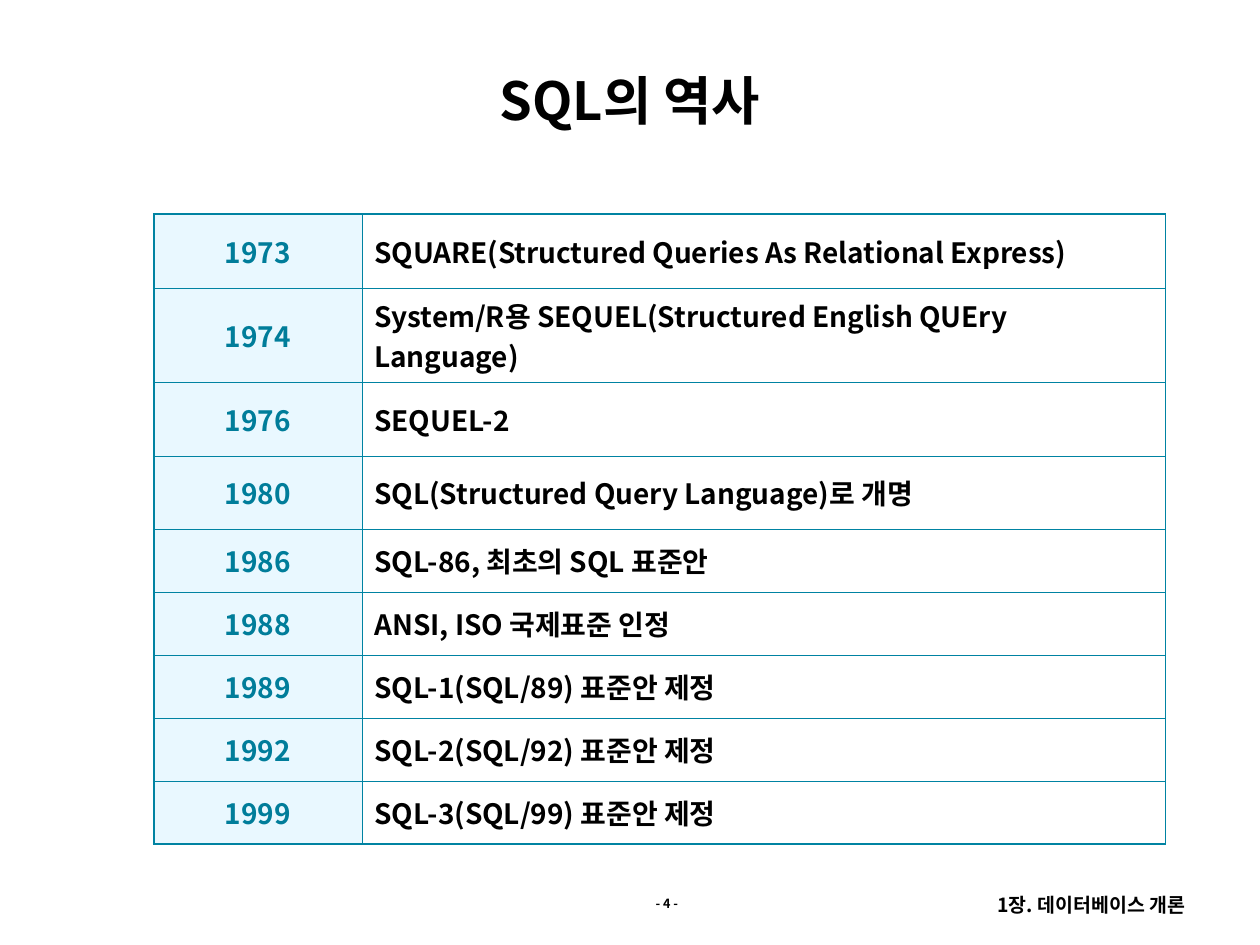
from dataclasses import dataclass

from lxml.etree import SubElement
from pptx import Presentation
from pptx.dml.color import RGBColor
from pptx.enum.text import MSO_ANCHOR, MSO_AUTO_SIZE, PP_ALIGN
from pptx.oxml.ns import qn
from pptx.slide import Slide
from pptx.table import _Cell
from pptx.text.text import TextFrame
from pptx.util import Inches, Pt


@dataclass(frozen=True)
class Theme:
    font: str = "Noto Sans CJK KR"
    ink: str = "000000"
    year: str = "007D9A"
    pale: str = "E9F8FF"
    rule: str = "0083A2"
    title: float = 30
    body: float = 16
    foot: float = 11.1
    page: float = 7.2
    thick: float = 1.08
    thin: float = 0.11


@dataclass(frozen=True)
class Event:
    year: str
    text: str
    height: float = 0.5


@dataclass(frozen=True)
class Note:
    text: str
    left: float
    width: float
    height: float
    size: float
    lead: float


THEME = Theme()
TOP = 7.06
COLS = (1.65, 6.38)
EVENTS = (
    Event("1973", "SQUARE(Structured Queries As Relational Express)", 0.59),
    Event("1974", "System/R용 SEQUEL(Structured English QUEry Language)", 0.74),
    Event("1976", "SEQUEL-2", 0.59),
    Event("1980", "SQL(Structured Query Language)로 개명", 0.58),
    Event("1986", "SQL-86, 최초의 SQL 표준안"),
    Event("1988", "ANSI, ISO 국제표준 인정"),
    Event("1989", "SQL-1(SQL/89) 표준안 제정"),
    Event("1992", "SQL-2(SQL/92) 표준안 제정"),
    Event("1999", "SQL-3(SQL/99) 표준안 제정"),
)
NOTES = (
    Note("1장. 데이터베이스 개론", 6.34, 3.17, 0.29, THEME.foot, 0.9),
    Note("- 4 -", 4.45, 1.03, 0.24, THEME.page, 1.0),
)


def write(frame: TextFrame, text: str, size: float, color: str,
          align: PP_ALIGN, lead: float = 1.0, before: float = 0) -> None:
    para = frame.paragraphs[0]
    para.alignment = align
    para.line_spacing = lead
    para.space_before = Pt(before)
    run = para.add_run()
    run.text = text
    font = run.font
    font.name = THEME.font
    font.size = Pt(size)
    font.bold = True
    font.color.rgb = RGBColor.from_string(color)
    SubElement(font._element, qn("a:ea"), typeface=THEME.font)


def edge(cell: _Cell, side: str, width: float) -> None:
    props = cell._tc.get_or_add_tcPr()
    line = SubElement(props, qn(f"a:ln{side}"), w=str(Pt(width)))
    fill = SubElement(line, qn("a:solidFill"))
    SubElement(fill, qn("a:srgbClr"), val=THEME.rule)


def add_title(slide: Slide, text: str) -> None:
    title = slide.shapes.title
    title.left, title.top = Inches(0.5), Inches(0.53)
    title.width, title.height = Inches(9), Inches(0.52)
    frame = title.text_frame
    frame.auto_size = MSO_AUTO_SIZE.NONE
    frame.vertical_anchor = MSO_ANCHOR.MIDDLE
    write(frame, text, THEME.title, THEME.ink, PP_ALIGN.CENTER)


def add_note(slide: Slide, note: Note) -> None:
    box = slide.shapes.add_textbox(Inches(note.left), Inches(TOP),
                                   Inches(note.width), Inches(note.height))
    box.text_frame.word_wrap = True
    write(box.text_frame, note.text, note.size, THEME.ink,
          PP_ALIGN.RIGHT, note.lead)


def add_events(slide: Slide) -> None:
    count = len(EVENTS)
    total = sum(event.height for event in EVENTS)
    table = slide.shapes.add_table(count, len(COLS), Inches(1.22), Inches(1.7),
                                   Inches(sum(COLS)), Inches(total)).table
    table.first_row = table.horz_banding = False
    for col, width in zip(table.columns, COLS):
        col.width = Inches(width)
    for row, event in enumerate(EVENTS):
        table.rows[row].height = Inches(event.height)
        for col, text in enumerate((event.year, event.text)):
            cell = table.cell(row, col)
            cell.vertical_anchor = MSO_ANCHOR.MIDDLE
            outer = {"L": col == 0, "R": col == 1,
                     "T": row == 0, "B": row == count - 1}
            for side, bold in outer.items():
                edge(cell, side, THEME.thick if bold else THEME.thin)
            if col == 0:
                cell.fill.solid()
                cell.fill.fore_color.rgb = RGBColor.from_string(THEME.pale)
            else:
                cell.fill.background()
            write(cell.text_frame, text, THEME.body,
                  THEME.ink if col else THEME.year,
                  PP_ALIGN.LEFT if col else PP_ALIGN.CENTER, before=4)


def main() -> None:
    deck = Presentation()
    deck.slide_width, deck.slide_height = Inches(10), Inches(7.5)
    slide = deck.slides.add_slide(deck.slide_layouts[5])
    for note in NOTES:
        add_note(slide, note)
    add_title(slide, "SQL의 역사")
    add_events(slide)
    deck.save("out.pptx")


if __name__ == "__main__":
    main()
